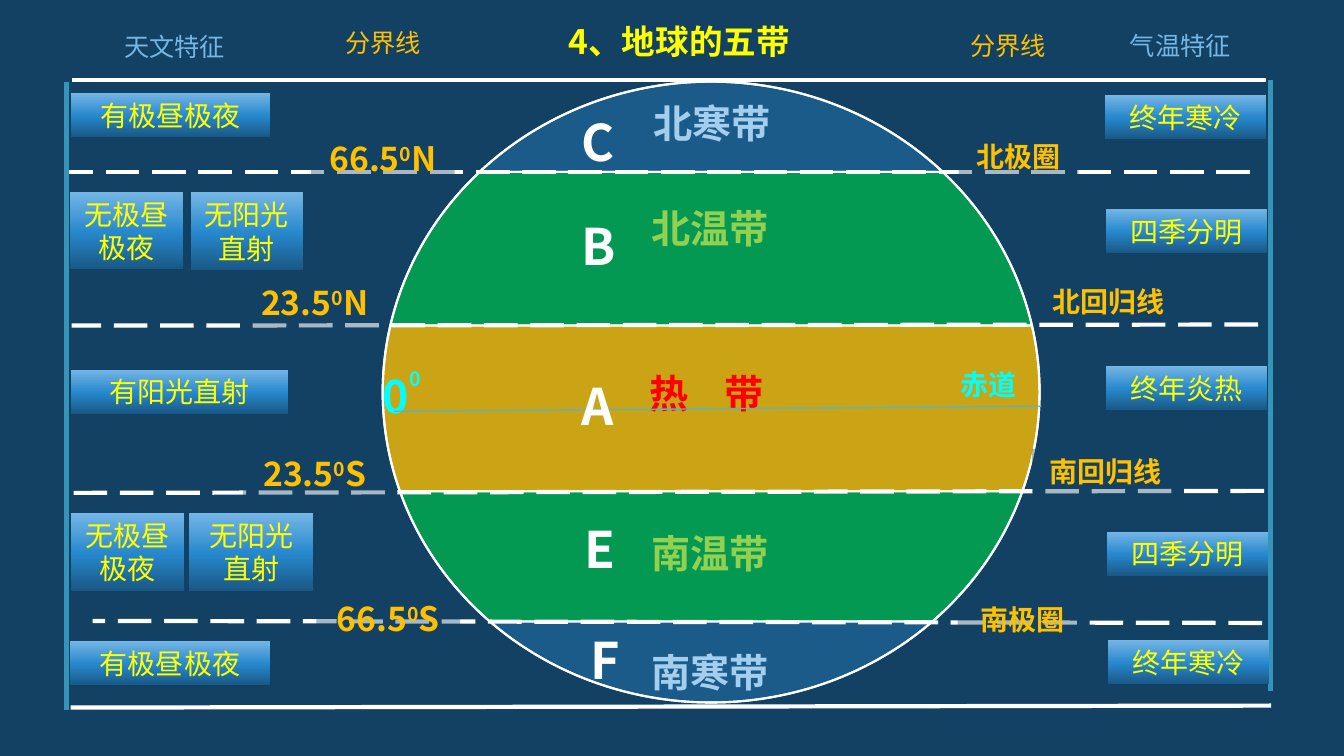
from copy import deepcopy
from math import asin, cos, pi, sin, tan

from lxml import etree
from pptx import Presentation
from pptx.dml.color import RGBColor
from pptx.enum.dml import MSO_LINE
from pptx.enum.shapes import MSO_CONNECTOR, MSO_SHAPE
from pptx.enum.text import MSO_ANCHOR, PP_ALIGN
from pptx.oxml.ns import qn
from pptx.util import Inches, Pt

RECTANGLE, OVAL = MSO_SHAPE.RECTANGLE, MSO_SHAPE.OVAL
STRAIGHT = MSO_CONNECTOR.STRAIGHT
LONG_DASH = MSO_LINE.LONG_DASH
LEFT, CENTER = PP_ALIGN.LEFT, PP_ALIGN.CENTER
MIDDLE = MSO_ANCHOR.MIDDLE

# The grid has 80 columns and 45 rows of square cells
WIDTH, HEIGHT = 13.333, 7.5
CELL = HEIGHT / 45
FONT = "Noto Sans CJK SC"
NAVY, WHITE, YELLOW, GOLD = "134163", "FFFFFF", "FFFF00", "FFC000"
SKY, CYAN, TEAL = "75B6E5", "00FFFF", "3494BA"
BLUE, GREEN, LIME, ICE = "1D6294", "00B050", "92D050", "A3CEED"
GRADIENT = [(0, "195885"), (0.48, "2788CD"), (1, SKY)]


def color(value):
    return RGBColor.from_string(value)


def grid(*cells):
    return [Inches(cell * CELL) for cell in cells]


def write(shape, text, size=20, ink=YELLOW, bold=False, align=CENTER):
    """Text is a string, or a list of (text, size, raise in percent) runs."""
    frame = shape.text_frame
    frame.word_wrap = True
    frame.vertical_anchor = MIDDLE
    lines = [[(line, size, 0)] for line in text.split("\n")] if isinstance(text, str) else [text]
    for index, runs in enumerate(lines):
        paragraph = frame.add_paragraph() if index else frame.paragraphs[0]
        paragraph.alignment = align
        paragraph.line_spacing = Pt(size * 1.2)
        for words, run_size, raised in runs:
            run = paragraph.add_run()
            run.text = words
            run.font.size = Pt(run_size)
            run.font.bold = bold
            run.font.name = FONT
            run.font.color.rgb = color(ink)
            properties = run.font._element
            etree.SubElement(properties, qn("a:ea")).set("typeface", FONT)
            if raised:
                properties.set("baseline", str(raised * 1000))


class EarthSlide:
    def __init__(self, presentation):
        self.slide = presentation.slides.add_slide(presentation.slide_layouts[6])
        self.shapes = self.slide.shapes
        self.slide.background.fill.solid()
        self.slide.background.fill.fore_color.rgb = color(NAVY)

    def paint(self, shape, fill=None, opacity=100, outline=None):
        shape.shadow.inherit = False
        if fill:
            shape.fill.solid()
            shape.fill.fore_color.rgb = color(fill)
            tone = shape._element.spPr.find(".//" + qn("a:srgbClr"))
            etree.SubElement(tone, qn("a:alpha")).set("val", str(opacity * 1000))
        else:
            shape.fill.background()
        if outline:
            shape.line.color.rgb = color(outline)
            shape.line.width = Pt(1.5)
        else:
            shape.line.fill.background()

    def text(self, box, text, **style):
        write(self.shapes.add_textbox(*grid(*box)), text, **style)

    def label(self, box, text, **style):
        shape = self.shapes.add_shape(RECTANGLE, *grid(*box))
        self.paint(shape, NAVY, 37)
        write(shape, text, ink=GOLD, bold=True, **style)

    def feature(self, box, text):
        shape = self.shapes.add_shape(RECTANGLE, *grid(*box))
        self.paint(shape)
        shape.fill.gradient()
        stops = shape._element.spPr.find(".//" + qn("a:gsLst"))
        stops.append(deepcopy(stops[0]))
        for stop, (position, tone) in zip(shape.fill.gradient_stops, GRADIENT):
            stop.position = position
            stop.color.rgb = color(tone)
        shape.fill.gradient_angle = 90
        write(shape, text)

    def line(self, start, end, tone=WHITE, width=3, dash=None):
        connector = self.shapes.add_connector(STRAIGHT, *grid(*start, *end))
        connector.line.color.rgb = color(tone)
        connector.line.width = Pt(width)
        if dash:
            connector.line.dash_style = dash
        etree.SubElement(connector._element.spPr, qn("a:effectLst"))

    def band(self, top, bottom, fill, opacity):
        """Fill the part of the globe between two rows."""
        column, row, half_width, half_height = GLOBE

        def on_globe(angle, bend=0):
            return grid(column + half_width * (cos(angle) - bend * sin(angle)),
                        row + half_height * (sin(angle) + bend * cos(angle)))

        first, last = (asin(max(-1, min(1, (edge - row) / half_height))) for edge in (top, bottom))
        side = [first, 0, last] if first < 0 < last else [first, last]
        angles = side + [pi - angle for angle in reversed(side)]
        points = [on_globe(angle) for angle in angles]
        builder = self.shapes.build_freeform(*points[0], scale=1.0)
        builder.add_line_segments(points[1:], close=True)
        shape = builder.convert_to_shape()

        # Bend both sides; the edge between them stays straight
        segments = list(shape._element.spPr.iter(qn("a:lnTo")))
        for index, (segment, start, end) in enumerate(zip(segments, angles, angles[1:])):
            if index == len(side) - 1:
                continue
            bend = 4 / 3 * tan((end - start) / 4)
            segment.tag = qn("a:cubicBezTo")
            for place, (x, y) in enumerate([on_globe(start, bend), on_globe(end, -bend)]):
                control = etree.Element(qn("a:pt"), x=str(x - shape.left), y=str(y - shape.top))
                segment.insert(place, control)
        self.paint(shape, fill, opacity, WHITE)

    def globe(self):
        column, row, half_width, half_height = GLOBE
        shape = self.shapes.add_shape(OVAL, *grid(
            column - half_width, row - half_height, 2 * half_width, 2 * half_height))
        self.paint(shape, outline=WHITE)


# Globe: centre column and row, half width and half height
GLOBE = (42.33, 23.34, 19.55, 18.48)
EDGES = [4.86, 10.23, 19.38, 29.25, 37, 41.82]
# Zone: fill, opacity, name, ink, name corner, letter, letter corner
ZONES = [
    (BLUE, 80, "北寒带", ICE, (36.81, 5.6), "C", (34.02, 6.3)),
    (GREEN, 80, "北温带", LIME, (36.68, 11.86), "B", (34.02, 12.45)),
    (GOLD, 78, [("热", 28, 0), ("　", 25, 0), ("带", 28, 0)], "FF0000", (36.48, 21.66),
     "A", (34.02, 22.02)),
    (GREEN, 80, "南温带", LIME, (36.68, 31.18), "E", (34.2, 30.5)),
    (BLUE, 80, "南寒带", ICE, (36.68, 38.28), "F", (34.56, 37.14)),
]
BOUNDARIES = [((74.4, 10.26), (3.96, 10.26)), ((74.88, 19.32), (4.26, 19.38)),
              ((75.24, 29.22), (4.26, 29.34)), ((75.12, 37.08), (5.52, 36.96))]
FEATURES = [
    ((11.34, 11.46, 6.72, 4.62), "无阳光\n直射"), ((11.26, 30.54, 7.38, 4.62), "无阳光\n直射"),
    ((4.14, 11.42, 6.78, 4.62), "无极昼极夜"), ((4.2, 30.54, 6.78, 4.62), "无极昼极夜"),
    ((4.24, 22, 12.9, 2.64), "有阳光直射"),
    ((4.2, 5.52, 11.88, 2.64), "有极昼极夜"), ((4.18, 38.16, 11.88, 2.64), "有极昼极夜"),
]
CLIMATES = [(65.78, 5.64, "终年寒冷"), (65.82, 12.42, "四季分明"), (65.82, 21.78, "终年炎热"),
            (65.9, 31.64, "四季分明"), (65.94, 38.1, "终年寒冷")]
CIRCLES = [((57.06, 8.04, 7.14, 2.58), "北极圈"), ((61.74, 16.62, 8.46, 2.58), "北回归线"),
           ((61.42, 26.74, 8.82, 2.64), "南回归线"), ((57, 35.56, 7.74, 2.58), "南极圈")]
LATITUDES = [((18.52, 7.92), "66.5", "N"), ((14.46, 16.5), "23.5", "N"),
             ((14.46, 26.66), "23.5", "S"), ((18.84, 35.28), "66.5", "S")]
HEADINGS = [(65.97, 1.48, "气温特征", SKY), (6.1, 1.54, "天文特征", SKY),
            (55.71, 1.48, "分界线", GOLD), (18.51, 1.34, "分界线", GOLD)]


def main():
    presentation = Presentation()
    presentation.slide_width, presentation.slide_height = Inches(WIDTH), Inches(HEIGHT)
    earth = EarthSlide(presentation)

    # Globe and its zones
    for top, bottom, zone in zip(EDGES, EDGES[1:], ZONES):
        earth.band(top, bottom, *zone[:2])
    earth.globe()

    # Boundary lines and frame
    for start, end in BOUNDARIES:
        earth.line(start, end, dash=LONG_DASH)
    earth.line((75.36, 4.74), (4.26, 4.74))
    earth.line((75.66, 42), (4.2, 42.12))
    earth.line((3.96, 4.86), (3.96, 42.24), TEAL, 3.5)
    earth.line((75.64, 4.74), (75.64, 41.16), TEAL, 3.5)

    # Zone names, features and climates
    for _, _, name, ink, corner, _, _ in ZONES:
        earth.text((*corner, 11.16, 3.42), name, size=28, ink=ink, bold=True)
    for box, feature in FEATURES:
        earth.feature(box, feature)
    for column, row, climate in CLIMATES:
        earth.feature((column, row, 9.6, 2.64), climate)

    # Circles of latitude
    for box, name in CIRCLES:
        earth.label(box, name)
    for corner, degrees, side in LATITUDES:
        earth.label((*corner, 8.55, 3), [(degrees, 24, 0), ("0", 24, 30), (side, 24, 0)], size=24)

    # Equator
    earth.text((22.2, 21.66, 6.48, 3.78), [("0", 32, 0), ("0", 24, 80)],
               size=32, ink=CYAN, bold=True, align=LEFT)
    earth.text((56.58, 21.15, 4.98, 3.48), "赤道", ink=CYAN, bold=True, align=LEFT)
    earth.line((61.98, 24.18), (23.46, 24.48), "58B6C0", 1)

    # Headings, title and zone letters
    for column, row, heading, ink in HEADINGS:
        earth.text((column, row, 8.58, 2.4), heading, size=18, ink=ink)
    earth.text((33.24, 0.96, 19.68, 3), "4、地球的五带", size=24, bold=True, align=LEFT)
    for *_, letter, corner in ZONES:
        earth.text((*corner, 5.76, 4.26), letter, size=36, ink=WHITE, bold=True, align=LEFT)

    presentation.save("out.pptx")


if __name__ == "__main__":
    main()
